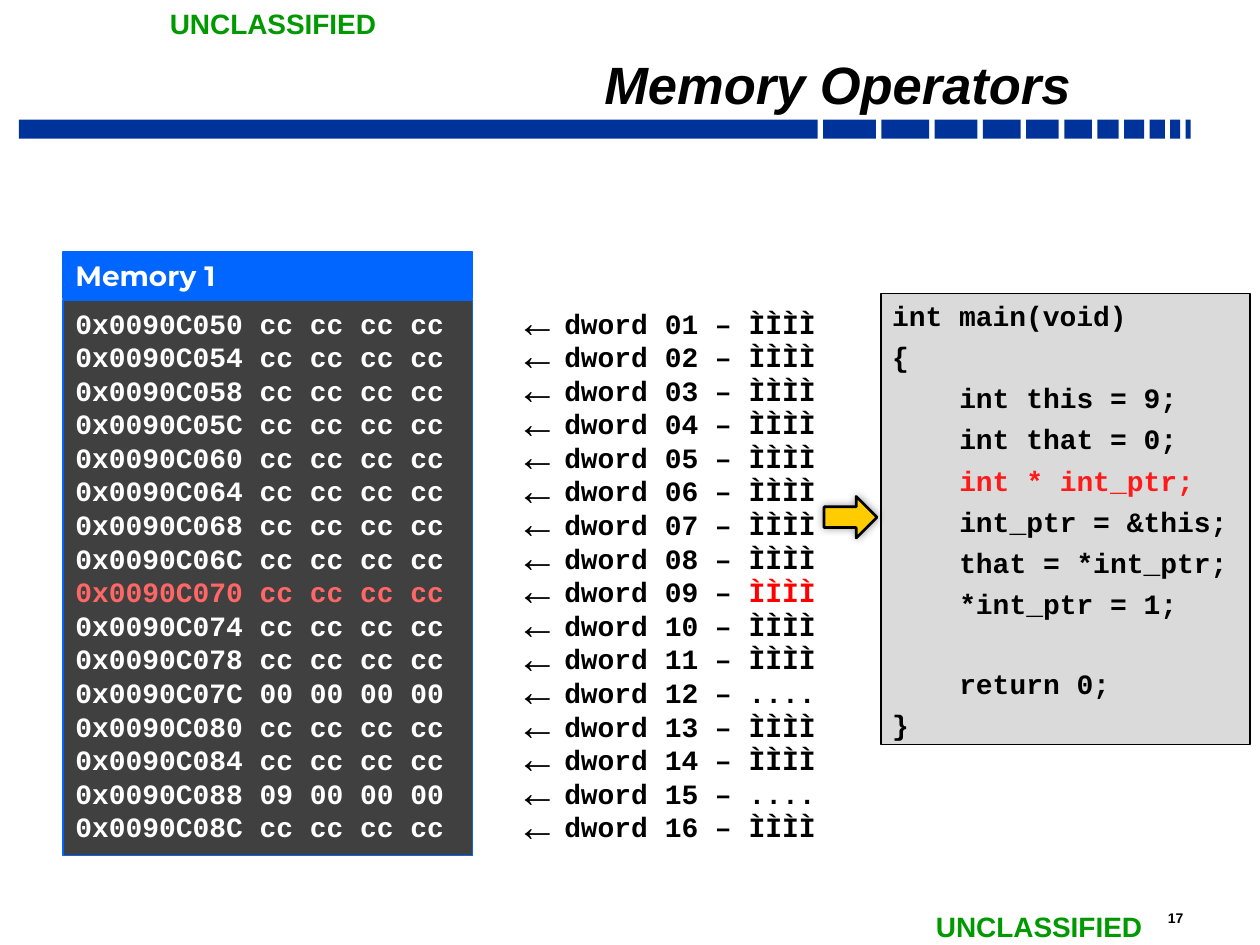
from lxml import etree
from pptx import Presentation
from pptx.dml.color import RGBColor
from pptx.enum import shapes, text
from pptx.oxml import ns
from pptx.util import Inches, Pt

COLORS = {
    "bar": "003399", "marking": "009900", "black": "000000", "white": "FFFFFF",
    "header": "0066FF", "memory": "404040", "memory_hit": "FF6666",
    "dword_hit": "FF0000", "code": "DADADA", "code_hit": "FF1A1A", "arrow": "FFCC00",
}
BAR_WIDTHS = [6.34, 0.42, 0.38, 0.34, 0.3, 0.26, 0.22, 0.17, 0.16, 0.12, 0.08, 0.04]
BAR_LEFT, BAR_RIGHT = 0.15, 9.45

FIRST_ADDRESS = 0x0090C050
DWORD_COUNT = 16
HIT_DWORD = 9
SPECIAL_BYTES = {12: "00 00 00 00", 15: "09 00 00 00"}

# indent level, code, colour, blank lines above
CODE = [
    (0, "int main(void)", "black", 0),
    (0, "{", "black", 0),
    (1, "int this = 9;", "black", 0),
    (1, "int that = 0;", "black", 0),
    (1, "int * int_ptr;", "code_hit", 0),
    (1, "int_ptr = &this;", "black", 0),
    (1, "that = *int_ptr;", "black", 0),
    (1, "*int_ptr = 1;", "black", 0),
    (1, "return 0;", "black", 1),
    (0, "}", "black", 0),
]
CODE_GAP, CODE_PITCH, CODE_INDENT = 4.3, 22.4, 38.4  # points

MONO = {"name": "Courier New", "size": Pt(16), "bold": True}
MARKING = {"name": "Arial", "size": Pt(16), "bold": True}
TITLE = {"name": "Arial", "size": Pt(30), "bold": True, "italic": True}
PAGE = {"name": "Arial", "size": Pt(8), "bold": True}
HEADER = {"name": "Montserrat", "size": Pt(16), "bold": True}


def rgb(color):
    return RGBColor.from_string(COLORS[color])


def add_block(slide, box, fill, line=None, width=0.75, kind=shapes.MSO_SHAPE.RECTANGLE):
    block = slide.shapes.add_shape(kind, *map(Inches, box))
    block.shadow.inherit = False
    block.fill.solid()
    block.fill.fore_color.rgb = rgb(fill)
    if line:
        block.line.color.rgb = rgb(line)
        block.line.width = Pt(width)
    else:
        block.line.fill.background()
    return block


def write(shape, paragraphs, font, anchor=text.MSO_ANCHOR.TOP, wrap=True, inset=(0.1, 0.05)):
    """Fill a shape; each paragraph is a list of (words, colour) runs."""
    frame = shape.text_frame
    frame.word_wrap = wrap
    frame.vertical_anchor = anchor
    frame.margin_left = frame.margin_right = Inches(inset[0])
    frame.margin_top = frame.margin_bottom = Inches(inset[1])
    for i, runs in enumerate(paragraphs):
        paragraph = frame.add_paragraph() if i else frame.paragraphs[0]
        paragraph.alignment = text.PP_ALIGN.LEFT
        for words, color in runs:
            run = paragraph.add_run()
            run.text = words
            run.font.color.rgb = rgb(color)
            for attribute, value in font.items():
                setattr(run.font, attribute, value)
    return frame.paragraphs


def add_text(slide, box, paragraphs, font, **layout):
    return write(slide.shapes.add_textbox(*map(Inches, box)), paragraphs, font, **layout)


def add_arrow_bullet(paragraph):
    properties = paragraph._p.get_or_add_pPr()
    properties.set("marL", str(Inches(0.38)))
    properties.set("indent", str(-Inches(0.38)))
    color = etree.SubElement(properties, ns.qn("a:buClr"))
    etree.SubElement(color, ns.qn("a:srgbClr"), val=COLORS["black"])
    etree.SubElement(properties, ns.qn("a:buSzPct"), val="150000")
    etree.SubElement(properties, ns.qn("a:buFont"), typeface="Arial")
    etree.SubElement(properties, ns.qn("a:buChar"), char="←")


def add_glow_shadow(shape):
    effects = shape._element.spPr.find(ns.qn("a:effectLst"))
    shadow = etree.SubElement(effects, ns.qn("a:outerShdw"),
                              blurRad=str(Pt(5)), dist="0", dir="0")
    color = etree.SubElement(shadow, ns.qn("a:srgbClr"), val=COLORS["black"])
    etree.SubElement(color, ns.qn("a:alpha"), val="40000")


def add_frame(slide):
    gap = (BAR_RIGHT - BAR_LEFT - sum(BAR_WIDTHS)) / (len(BAR_WIDTHS) - 1)
    left = BAR_LEFT
    for width in BAR_WIDTHS:
        add_block(slide, (left, 0.95, width, 0.15), "bar")
        left += width + gap
    add_text(slide, (9.17, 7.17, 0.54, 0.23), [[("17", "black")]], PAGE)
    for left, top in [(1.25, 0), (7.33, 7.17)]:
        add_text(slide, (left, top, 1.86, 0.37), [[("UNCLASSIFIED", "marking")]],
                 MARKING, wrap=False)
    title = add_text(slide, (1.67, 0.35, 6.92, 0.59), [[("Memory Operators", "black")]],
                     TITLE, anchor=text.MSO_ANCHOR.BOTTOM, inset=(0.09, 0.04))[0]
    title.alignment = text.PP_ALIGN.RIGHT
    title.line_spacing = 0.7


def add_memory(slide):
    memory, dwords = [], []
    for number in range(1, DWORD_COUNT + 1):
        hit = number == HIT_DWORD
        address = FIRST_ADDRESS + 4 * (number - 1)
        content = SPECIAL_BYTES.get(number, "cc cc cc cc")
        letters = "...." if number in SPECIAL_BYTES else "ÌÌÌÌ"
        memory.append([(f"0x{address:08X} {content}", "memory_hit" if hit else "white")])
        label = f"dword {number:02d} – "
        dwords.append([(label, "black"), (letters, "dword_hit")] if hit
                      else [(label + letters, "black")])
    write(add_block(slide, (0.5, 2, 3.25, 0.37), "header", "header"),
          [[("Memory 1", "white")]], HEADER, anchor=text.MSO_ANCHOR.MIDDLE)
    write(add_block(slide, (0.5, 2.38, 3.25, 4.41), "memory", "header"), memory, MONO)
    for paragraph in add_text(slide, (4, 2.38, 5.68, 4.41), dwords, MONO):
        add_arrow_bullet(paragraph)


def add_code(slide):
    panel = add_block(slide, (6.99, 2.33, 2.93, 3.58), "code", "black", 1)
    lines = write(panel, [[(code, color)] for _, code, color, _ in CODE], MONO,
                  inset=(0.09, 0.04))
    for line, (level, _, _, blanks) in zip(lines, CODE):
        line.space_before = Pt(CODE_GAP + blanks * CODE_PITCH)
        line._p.get_or_add_pPr().set("marL", str(Pt(level * CODE_INDENT)))
    pointer = add_block(slide, (6.54, 3.94, 0.42, 0.33), "arrow", "black", 1.5,
                        shapes.MSO_SHAPE.RIGHT_ARROW)
    add_glow_shadow(pointer)


def main():
    deck = Presentation()
    deck.slide_width, deck.slide_height = Inches(10), Inches(7.5)
    slide = deck.slides.add_slide(deck.slide_layouts[6])
    add_frame(slide)
    add_memory(slide)
    add_code(slide)
    deck.save("out.pptx")


if __name__ == "__main__":
    main()
